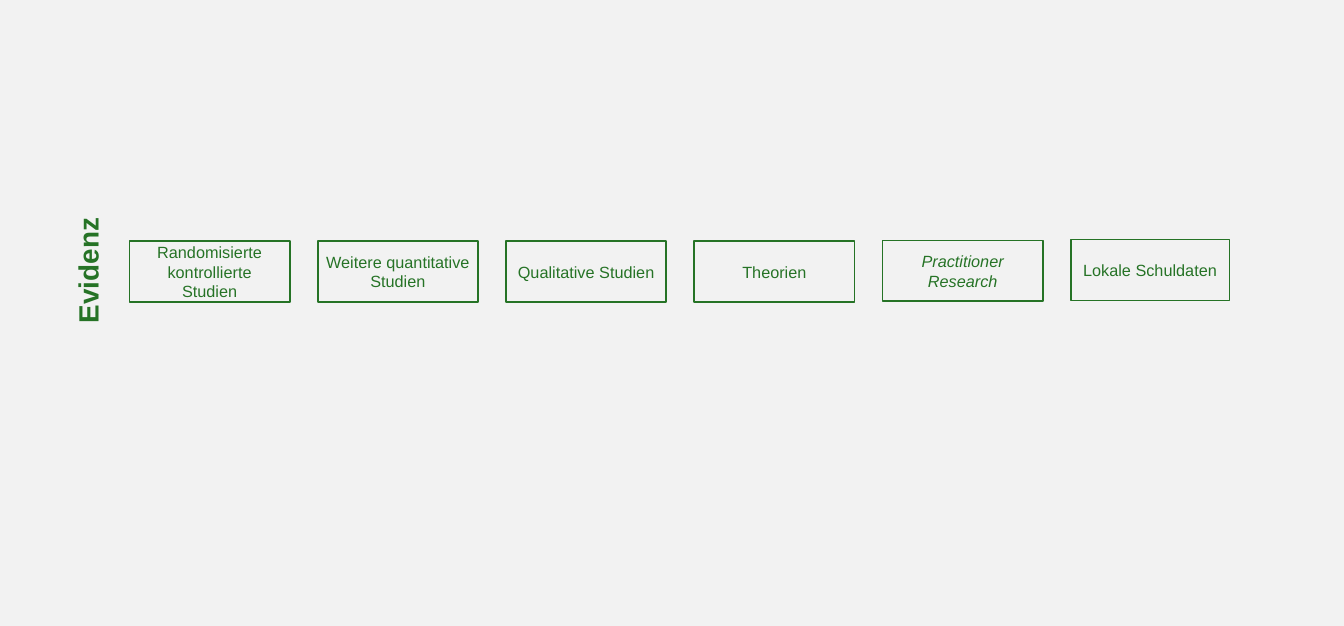
from dataclasses import dataclass

from pptx import Presentation
from pptx import util as u
from pptx.dml.color import RGBColor
from pptx.enum import shapes, text

GREEN = "267326"
BACKGROUND = "F2F2F2"
FONT = "Arial"

FIRST_LEFT = 111.6
PITCH = 162.28
BOX_HEIGHT = 52.5


@dataclass
class EvidenceBox:
    label: str
    top: float = 208.1
    width: float = 138.2
    italic: bool = False


EVIDENCE_BOXES = [
    EvidenceBox("Randomisierte kontrollierte Studien"),
    EvidenceBox("Weitere quantitative Studien"),
    EvidenceBox("Qualitative Studien"),
    EvidenceBox("Theorien"),
    EvidenceBox("Practitioner Research", top=207.4, italic=True),
    EvidenceBox("Lokale Schuldaten", top=206.7, width=136.8),
]


def color(hex_code: str) -> RGBColor:
    return RGBColor.from_string(hex_code)


def add_run(paragraph, content: str, size: float, bold: bool = False, italic: bool = False) -> None:
    run = paragraph.add_run()
    run.text = content
    run.font.name = FONT
    run.font.size = u.Pt(size)
    run.font.bold = bold
    run.font.italic = italic
    run.font.color.rgb = color(GREEN)


def add_evidence_box(slide, box: EvidenceBox, left: float) -> None:
    shape = slide.shapes.add_shape(
        shapes.MSO_SHAPE.RECTANGLE,
        u.Pt(left), u.Pt(box.top), u.Pt(box.width), u.Pt(BOX_HEIGHT),
    )
    shape.shadow.inherit = False
    shape.fill.background()
    shape.line.color.rgb = color(GREEN)
    shape.line.width = u.Pt(1.5)
    frame = shape.text_frame
    frame.word_wrap = True
    frame.vertical_anchor = text.MSO_ANCHOR.MIDDLE
    paragraph = frame.paragraphs[0]
    paragraph.alignment = text.PP_ALIGN.CENTER
    add_run(paragraph, box.label, 14, italic=box.italic)


def add_row_title(slide, title: str) -> None:
    """Add the row title, turned to read from bottom to top."""
    shape = slide.shapes.add_textbox(u.Pt(23), u.Pt(215.3), u.Pt(105.1), u.Pt(36))
    shape.rotation = 270
    frame = shape.text_frame
    frame.word_wrap = True
    frame.auto_size = text.MSO_AUTO_SIZE.SHAPE_TO_FIT_TEXT
    add_run(frame.paragraphs[0], title, 24, bold=True)


def main() -> None:
    presentation = Presentation()
    presentation.slide_width = u.Pt(1158.5)
    presentation.slide_height = u.Pt(540)
    slide = presentation.slides.add_slide(presentation.slide_layouts[6])
    slide.background.fill.solid()
    slide.background.fill.fore_color.rgb = color(BACKGROUND)

    add_row_title(slide, "Evidenz")
    for index, box in enumerate(EVIDENCE_BOXES):
        add_evidence_box(slide, box, FIRST_LEFT + index * PITCH)

    presentation.save("out.pptx")


if __name__ == "__main__":
    main()
